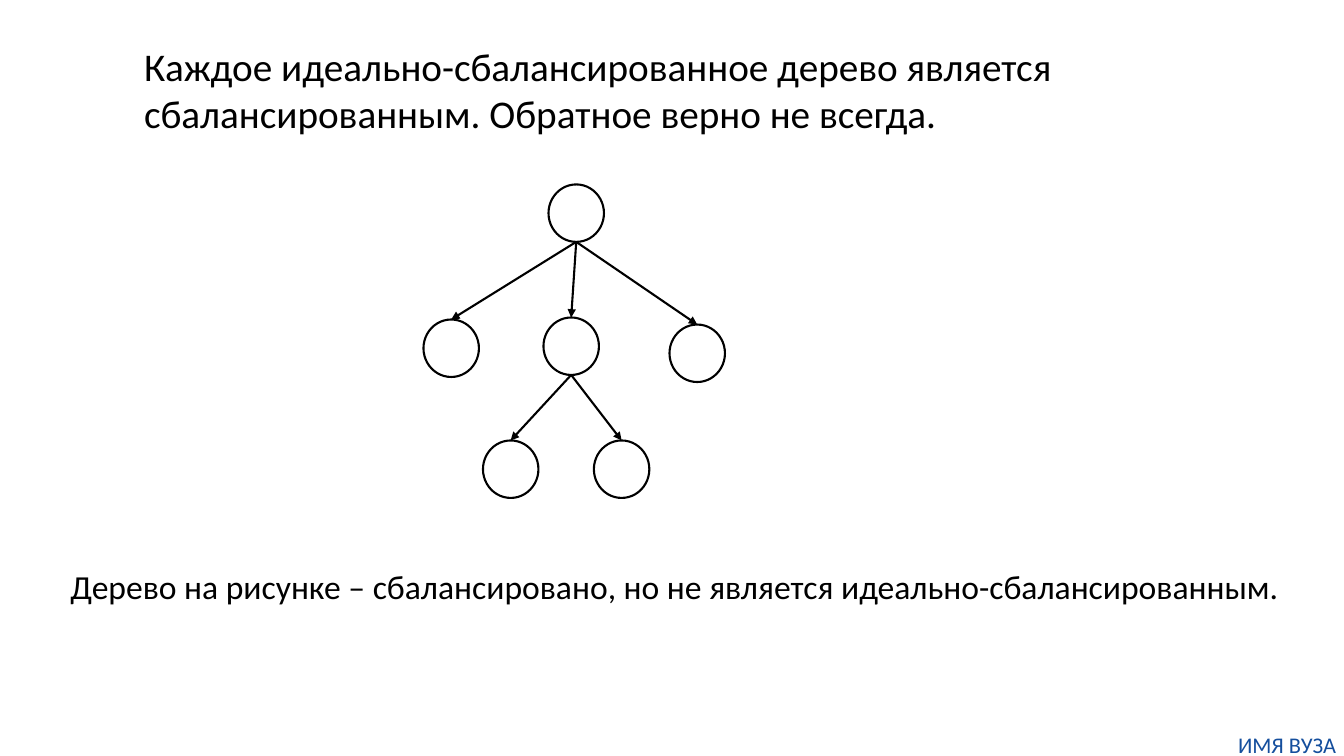
from dataclasses import dataclass
from lxml.etree import SubElement
from pptx import Presentation
from pptx.dml.color import RGBColor
from pptx.enum.shapes import MSO_CONNECTOR, MSO_SHAPE
from pptx.enum.text import MSO_AUTO_SIZE, PP_ALIGN
from pptx.oxml.ns import qn
from pptx.util import Inches, Pt


@dataclass(frozen=True)
class Theme:
    font: str = "Calibri"
    ink: RGBColor = RGBColor(0, 0, 0)
    blue: RGBColor = RGBColor(0x14, 0x4E, 0x9D)
    title: int = 28
    note: int = 24
    foot: int = 16
    line: float = 1.5


THEME = Theme()
NODE = (0.55, 0.57)
NODES = {
    "root": (1.24, 0),
    "mid": (1.19, 1.32),
    "left": (0, 1.34),
    "right": (2.44, 1.39),
    "low left": (0.59, 2.54),
    "low right": (1.69, 2.54),
}
EDGES = [
    ("root", "left"),
    ("root", "mid"),
    ("root", "right"),
    ("mid", "low left"),
    ("mid", "low right"),
]


def add_text(slide, box, text, size, color):
    label = slide.shapes.add_textbox(*map(Inches, box))
    frame = label.text_frame
    frame.word_wrap = True
    frame.auto_size = MSO_AUTO_SIZE.SHAPE_TO_FIT_TEXT
    frame.text = text
    font = frame.paragraphs[0].runs[0].font
    font.name = THEME.font
    font.size = Pt(size)
    font.color.rgb = color
    return frame


def add_foot(slide, box):
    frame = add_text(slide, box, "ИМЯ ВУЗА", THEME.foot, THEME.blue)
    frame.margin_left = frame.margin_right = 0
    frame.margin_top = frame.margin_bottom = 0
    frame.paragraphs[0].alignment = PP_ALIGN.CENTER


def set_line(shape):
    shape.line.color.rgb = THEME.ink
    shape.line.width = Pt(THEME.line)


def add_node(slide, left, top):
    node = slide.shapes.add_shape(
        MSO_SHAPE.OVAL, Inches(left), Inches(top), *map(Inches, NODE)
    )
    node.shadow.inherit = False
    node.fill.background()
    set_line(node)
    return node


def add_edge(slide, start, end):
    edge = slide.shapes.add_connector(
        MSO_CONNECTOR.STRAIGHT,
        start.left + start.width // 2,
        start.top + start.height,
        end.left + end.width // 2,
        end.top,
    )
    edge.end_connect(end, 0)
    set_line(edge)
    SubElement(edge.line._get_or_add_ln(), qn("a:tailEnd"), type="triangle")
    SubElement(edge._element.spPr, qn("a:effectLst"))


def add_tree(slide, left, top):
    nodes = {
        name: add_node(slide, left + x, top + y)
        for name, (x, y) in NODES.items()
    }
    for start, end in EDGES:
        add_edge(slide, nodes[start], nodes[end])


def main():
    deck = Presentation()
    deck.slide_width = Inches(13.33)
    deck.slide_height = Inches(7.5)
    slide = deck.slides.add_slide(deck.slide_layouts[6])
    add_foot(slide, (12.2, 7.25, 1.13, 0.27))
    add_text(
        slide,
        (1.33, 0.37, 10.49, 1.04),
        "Каждое идеально-сбалансированное дерево является "
        "сбалансированным. Обратное верно не всегда.",
        THEME.title,
        THEME.ink,
    )
    add_tree(slide, 4.2, 1.83)
    add_text(
        slide,
        (0.6, 5.57, 12.62, 0.5),
        "Дерево на рисунке – сбалансировано, но не является "
        "идеально-сбалансированным.",
        THEME.note,
        THEME.ink,
    )
    deck.save("out.pptx")


if __name__ == "__main__":
    main()
